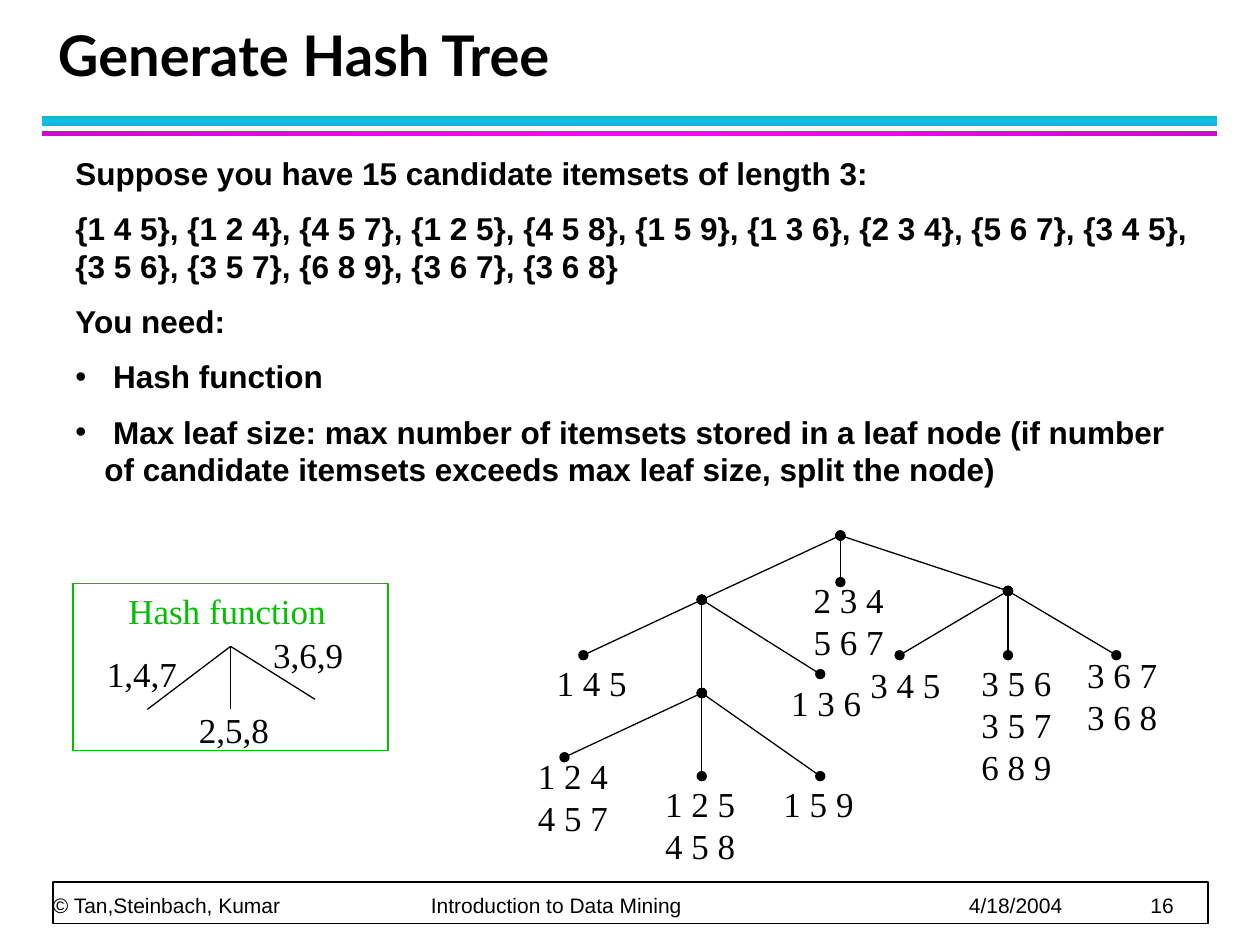
from copy import deepcopy

from lxml import etree
from pptx import Presentation
from pptx.dml.color import RGBColor
from pptx.enum.shapes import MSO_CONNECTOR, MSO_SHAPE
from pptx.enum.text import MSO_ANCHOR, PP_ALIGN
from pptx.oxml.ns import qn
from pptx.util import Inches, Pt

LINE = MSO_CONNECTOR.STRAIGHT
RECT = MSO_SHAPE.RECTANGLE
BOTTOM = MSO_ANCHOR.BOTTOM
LEFT = PP_ALIGN.LEFT
BLACK = "000000"
GREEN = "00C000"
SERIF = "Times New Roman"

ROOT, WEST, EAST, DEEP = (6.67, 4.25), (5.57, 4.76), (8, 4.69), (5.57, 5.5)
TREE = [
    (ROOT, [WEST, EAST, (6.67, 4.62)]),
    (WEST, [(4.63, 5.2), DEEP, (6.51, 5.35)]),
    (DEEP, [(4.48, 6.01), (5.57, 6.16), (6.51, 6.16)]),
    (EAST, [(7.14, 5.2), (8, 5.2), (8.86, 5.2)]),
]
LEAVES = [
    (6.36, 4.54, ["2 3 4", "5 6 7"]),
    (4.32, 5.2, ["1 4 5"]),
    (6.18, 5.36, ["1 3 6"]),
    (4.17, 5.94, ["1 2 4", "4 5 7"]),
    (5.18, 6.16, ["1 2 5", "4 5 8"]),
    (6.12, 6.16, ["1 5 9"]),
    (6.81, 5.22, ["3 4 5"]),
    (7.69, 5.2, ["3 5 6", "3 5 7", "6 8 9"]),
    (8.53, 5.14, ["3 6 7", "3 6 8"]),
]
HASH = [
    (0.75, 5.13, "1,4,7", (1.17, 5.63)),
    (1.48, 5.57, "2,5,8", (1.83, 5.63)),
    (2.07, 4.98, "3,6,9", (2.5, 5.55)),
]
BODY = [
    "Suppose you have 15 candidate itemsets of length 3:",
    "{1 4 5}, {1 2 4}, {4 5 7}, {1 2 5}, {4 5 8}, {1 5 9}, {1 3 6}, {2 3 4}, "
    "{5 6 7}, {3 4 5}, {3 5 6}, {3 5 7}, {6 8 9}, {3 6 7}, {3 6 8}",
    "You need:",
]
NEEDS = [
    " Hash function",
    " Max leaf size: max number of itemsets stored in a leaf node (if number "
    "of candidate itemsets exceeds max leaf size, split the node)",
]
FOOTER = ["© Tan,Steinbach, Kumar", "Introduction to Data Mining", "4/18/2004", "16"]
STOPS = [3, 7.27, 8.71]


def paint(text):
    return RGBColor.from_string(text)


def style(frame, size, font, color=BLACK, bold=False):
    for para in frame.paragraphs:
        para.alignment = LEFT
        for run in para.runs:
            run.font.size = Pt(size)
            run.font.name = font
            run.font.bold = bold
            run.font.color.rgb = paint(color)


def add_text(slide, box, lines, size, font, color=BLACK, bold=False, wrap=False):
    frame = slide.shapes.add_textbox(*map(Inches, box)).text_frame
    frame.word_wrap = wrap
    frame.text = "\n".join(lines)
    style(frame, size, font, color, bold)
    return frame


def add_label(slide, left, top, lines, width=0.76, color=BLACK):
    height = 0.1 + 0.33 * len(lines)
    add_text(slide, (left, top, width, height), lines, 20, SERIF, color)


def add_rect(slide, box):
    rect = slide.shapes.add_shape(RECT, *map(Inches, box))
    rect.shadow.inherit = False
    return rect


def add_bar(slide, box, edge, middle, angle):
    bar = add_rect(slide, box)
    bar.line.fill.background()
    bar.fill.gradient()
    bar.fill.gradient_angle = angle
    for stop, color, place in zip(bar.fill.gradient_stops, (edge, middle), (0, 0.5)):
        stop.color.rgb = paint(color)
        stop.position = place
    stops = bar._element.spPr.find(qn("a:gradFill")).find(qn("a:gsLst"))
    stops.append(deepcopy(stops[0]))
    bar.fill.gradient_stops[2].position = 1


def add_frame(slide, box, color, width, fill=None):
    rect = add_rect(slide, box)
    if fill:
        rect.fill.solid()
        rect.fill.fore_color.rgb = paint(fill)
    else:
        rect.fill.background()
    rect.line.color.rgb = paint(color)
    rect.line.width = Pt(width)


def add_line(slide, start, end, dots=False):
    line = slide.shapes.add_connector(LINE, *map(Inches, start + end))
    line.line.color.rgb = paint(BLACK)
    line.line.width = Pt(0.75)
    props = line._element.spPr
    if dots:
        for tag in ("a:headEnd", "a:tailEnd"):
            etree.SubElement(props.find(qn("a:ln")), qn(tag), type="oval")
    etree.SubElement(props, qn("a:effectLst"))


def add_title(slide):
    title = slide.shapes.title
    title.left, title.top, title.width, title.height = map(
        Inches, (0.36, 0.17, 9.06, 0.58))
    frame = title.text_frame
    frame.text = "Generate Hash Tree"
    frame.vertical_anchor = BOTTOM
    frame.paragraphs[0].line_spacing = Pt(36)
    style(frame, 32, "Lato", bold=True)


def add_body(slide):
    frame = add_text(slide, (0.5, 1.17, 9.08, 2.81), BODY + NEEDS, 18, "Arial",
                     bold=True, wrap=True)
    for para in frame.paragraphs:
        para.space_before = Pt(10)
    for para in frame.paragraphs[len(BODY):]:
        props = para._p.get_or_add_pPr()
        props.set("marL", str(Inches(0.23)))
        props.set("indent", str(-Inches(0.23)))
        etree.SubElement(props, qn("a:buFont"), typeface="Arial")
        etree.SubElement(props, qn("a:buChar"), char="•")


def add_footer(slide):
    add_frame(slide, (0.42, 7, 9.17, 0.33), BLACK, 1, "FFFFFF")
    frame = add_text(slide, (0.42, 7, 9.15, 0.28), ["\t".join(FOOTER)], 12, "Arial",
                     wrap=True)
    frame.margin_left = frame.margin_right = 0
    frame.margin_top = frame.margin_bottom = 0
    frame.vertical_anchor = BOTTOM
    para = frame.paragraphs[0]
    para.line_spacing = Pt(20)
    tabs = etree.SubElement(para._p.get_or_add_pPr(), qn("a:tabLst"))
    for stop in STOPS:
        etree.SubElement(tabs, qn("a:tab"), pos=str(Inches(stop)), algn="l")


def add_tree(slide):
    for node, kids in TREE:
        for kid in kids:
            add_line(slide, node, kid, dots=True)
    for left, top, lines in LEAVES:
        add_label(slide, left, top, lines)


def add_hash(slide):
    for left, top, text, end in HASH:
        add_line(slide, (1.83, 5.13), end)
        add_label(slide, left, top, [text])
    add_label(slide, 0.92, 4.63, ["Hash function"], 1.77, GREEN)
    add_frame(slide, (0.58, 4.63, 2.5, 1.33), GREEN, 0.75)


def main():
    deck = Presentation()
    deck.slide_width, deck.slide_height = Inches(10), Inches(7.5)
    slide = deck.slides.add_slide(deck.slide_layouts[5])
    add_bar(slide, (0.33, 0.92, 9.33, 0.08), "10B0D3", "12C2E9", 90)
    add_bar(slide, (0.33, 1.04, 9.33, 0.04), "DA00DA", "FF00FF", 0)
    add_footer(slide)
    add_title(slide)
    add_tree(slide)
    add_hash(slide)
    add_body(slide)
    deck.save("out.pptx")


if __name__ == "__main__":
    main()
